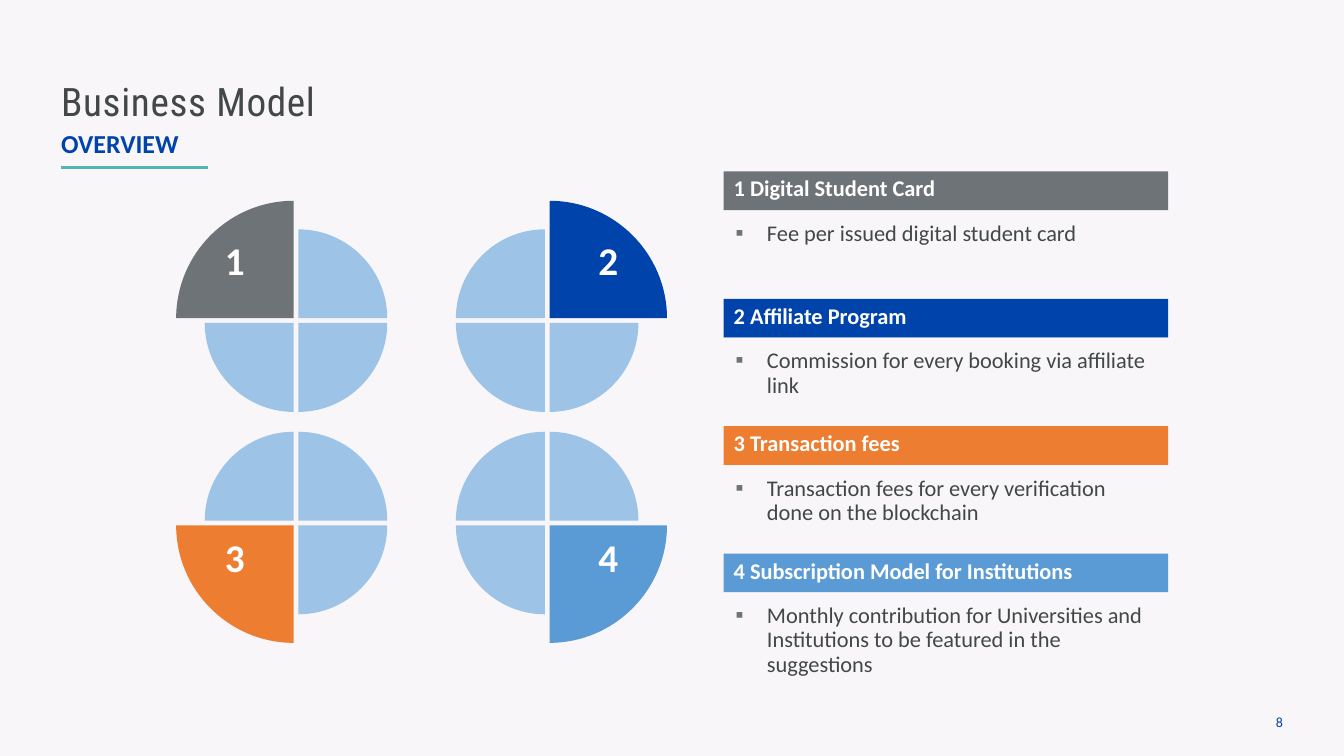
from dataclasses import dataclass

import pptx
import pptx.dml.color
import pptx.enum.shapes
import pptx.enum.text
import pptx.oxml.ns
import pptx.util
from lxml import etree

Cm, Pt = pptx.util.Cm, pptx.util.Pt
ALIGN, ANCHOR = pptx.enum.text.PP_ALIGN, pptx.enum.text.MSO_ANCHOR
qn = pptx.oxml.ns.qn


@dataclass(frozen=True)
class Theme:
    background: str = "F8F6F8"
    dark: str = "424747"
    gray: str = "6E7377"
    blue: str = "0043AA"
    orange: str = "ED7D31"
    sky: str = "5B9BD5"
    pale: str = "9DC3E6"
    teal: str = "56B3B3"
    white: str = "FFFFFF"
    title_font: str = "Roboto Condensed"
    body_font: str = "Calibri"
    title_size: float = 28
    subtitle_size: float = 18.5
    card_size: float = 16
    number_size: float = 28
    page_size: float = 10


THEME = Theme()
TITLE = "Business Model"
SUBTITLE = "OVERVIEW"
PAGE = "8"
STREAMS = [
    ("1", "Digital Student Card", "Fee per issued digital student card", THEME.gray),
    ("2", "Affiliate Program", "Commission for every booking via affiliate link", THEME.blue),
    ("3", "Transaction fees",
     "Transaction fees for every verification done on the blockchain", THEME.orange),
    ("4", "Subscription Model for Institutions",
     "Monthly contribution for Universities and Institutions to be featured in the suggestions",
     THEME.sky),
]

MARGIN, CONTENT_WIDTH = 1.54, 30.78
QUADRANTS = [(-1, -1), (1, -1), (-1, 1), (1, 1)]
WHEEL_X = {-1: 7.46, 1: 13.79}
WHEEL_Y = {-1: 8.08, 1: 13.18}
HALF_GAP, SMALL_RADIUS, LARGE_RADIUS = 0.06, 2.24, 2.96
ARC_HANDLE = 0.55
NUMBER_INSET = {-1: 0.89, 1: 0.2}
CARD_LEFT, CARD_TOP, CARD_WIDTH, CARD_PITCH = 18.24, 4.32, 11.2, 3.21
HEADER_HEIGHT, BODY_HEIGHT = 0.98, 2.03


def rgb(color):
    return pptx.dml.color.RGBColor.from_string(color)


def place(shape, left, top, width, height):
    shape.left, shape.top = Cm(left), Cm(top)
    shape.width, shape.height = Cm(width), Cm(height)


def paint(shape, color):
    shape.shadow.inherit = False
    shape.fill.solid()
    shape.fill.fore_color.rgb = rgb(color)
    shape.line.fill.background()


def write(shape, text, size, color, bold=False, font=THEME.body_font, align=ALIGN.LEFT,
          anchor=ANCHOR.TOP, insets=(0, 0, 0, 0), tracking=0):
    frame = shape.text_frame
    frame.word_wrap = True
    frame.auto_size = pptx.enum.text.MSO_AUTO_SIZE.NONE
    frame.vertical_anchor = anchor
    (frame.margin_left, frame.margin_top,
     frame.margin_right, frame.margin_bottom) = map(Cm, insets)
    paragraph = frame.paragraphs[0]
    paragraph.alignment = align
    run = paragraph.add_run()
    run.text = text
    run.font.name, run.font.size, run.font.bold = font, Pt(size), bold
    run.font.color.rgb = rgb(color)
    if tracking:
        run.font._element.set("spc", str(tracking))
    return paragraph


def set_bullet(paragraph, indent, character=None):
    properties = paragraph._p.get_or_add_pPr()
    properties.set("marL", str(Cm(indent)))
    properties.set("indent", str(-Cm(indent)))
    if character is None:
        etree.SubElement(properties, qn("a:buNone"))
        return
    color = etree.SubElement(properties, qn("a:buClr"))
    etree.SubElement(color, qn("a:srgbClr"), val=THEME.gray)
    etree.SubElement(properties, qn("a:buFont"), typeface=THEME.body_font)
    etree.SubElement(properties, qn("a:buChar"), char=character)


def add_heading(slide):
    title, subtitle = slide.placeholders
    place(title, MARGIN, 1.21, CONTENT_WIDTH, 1.93)
    write(title, TITLE, THEME.title_size, THEME.dark, font=THEME.title_font,
          anchor=ANCHOR.BOTTOM, tracking=50)
    place(subtitle, MARGIN, 3.54, CONTENT_WIDTH, 0.53)
    paragraph = write(subtitle, SUBTITLE, THEME.subtitle_size, THEME.blue, bold=True)
    paragraph.line_spacing, paragraph.space_before = Pt(13), Pt(0)
    set_bullet(paragraph, 0)
    rule = slide.shapes.add_connector(pptx.enum.shapes.MSO_CONNECTOR.STRAIGHT,
                                      Cm(MARGIN), Cm(4.23), Cm(5.24), Cm(4.23))
    rule.line.color.rgb = rgb(THEME.teal)
    rule.line.width = Pt(2.25)
    etree.SubElement(rule._element.spPr, qn("a:effectLst"))


def round_outer_edge(quarter):
    first, second = quarter._element.findall(".//" + qn("a:lnTo"))[:2]
    (start_x, start_y), (end_x, end_y) = [
        (int(line[0].get("x")), int(line[0].get("y"))) for line in (first, second)]
    curve = etree.Element(qn("a:cubicBezTo"))
    for x, y in [(start_x, start_y + ARC_HANDLE * (end_y - start_y)),
                 (end_x + ARC_HANDLE * (start_x - end_x), end_y),
                 (end_x, end_y)]:
        etree.SubElement(curve, qn("a:pt"), x=str(round(x)), y=str(round(y)))
    second.getparent().replace(second, curve)


def add_quarter(slide, center, quadrant, radius, color):
    corner_x, corner_y = (c + side * HALF_GAP for c, side in zip(center, quadrant))
    builder = slide.shapes.build_freeform(Cm(corner_x), Cm(corner_y))
    builder.add_line_segments([(Cm(corner_x + quadrant[0] * radius), Cm(corner_y)),
                               (Cm(corner_x), Cm(corner_y + quadrant[1] * radius))], close=True)
    quarter = builder.convert_to_shape()
    round_outer_edge(quarter)
    paint(quarter, color)
    return quarter


def add_wheel(slide, position, number, color):
    center = WHEEL_X[position[0]], WHEEL_Y[position[1]]
    for quadrant in QUADRANTS:
        if quadrant != position:
            add_quarter(slide, center, quadrant, SMALL_RADIUS, THEME.pale)
    highlight = add_quarter(slide, center, position, LARGE_RADIUS, color)
    write(highlight, number, THEME.number_size, THEME.white, bold=True, align=ALIGN.CENTER,
          insets=(0.25, NUMBER_INSET[position[1]], 0.25, 0.13))


def add_box(slide, top, height, color):
    box = slide.shapes.add_shape(pptx.enum.shapes.MSO_SHAPE.RECTANGLE, Cm(CARD_LEFT), Cm(top),
                                 Cm(CARD_WIDTH), Cm(height))
    paint(box, color)
    return box


def add_card(slide, index, heading, description, color):
    top = CARD_TOP + index * CARD_PITCH
    header = add_box(slide, top, HEADER_HEIGHT, color)
    write(header, heading, THEME.card_size, THEME.white, bold=True, anchor=ANCHOR.MIDDLE,
          insets=(0.25, 0.1, 0.25, 0.25))
    body = add_box(slide, top + HEADER_HEIGHT, BODY_HEIGHT, THEME.background)
    paragraph = write(body, description, THEME.card_size, THEME.dark,
                      insets=(0.3, 0.3, 0.4, 0.2))
    paragraph.line_spacing = 0.9
    set_bullet(paragraph, 0.79, "▪")


def main():
    presentation = pptx.Presentation()
    presentation.slide_width, presentation.slide_height = Cm(33.87), Cm(19.05)
    slide = presentation.slides.add_slide(presentation.slide_layouts[1])
    slide.background.fill.solid()
    slide.background.fill.fore_color.rgb = rgb(THEME.background)
    add_heading(slide)
    for index, (number, name, description, color) in enumerate(STREAMS):
        add_wheel(slide, QUADRANTS[index], number, color)
        add_card(slide, index, f"{number} {name}", description, color)
    page = slide.shapes.add_textbox(Cm(31.01), Cm(17.98), Cm(1.32), Cm(0.43))
    write(page, PAGE, THEME.page_size, THEME.blue, align=ALIGN.RIGHT, tracking=30)
    presentation.save("out.pptx")


if __name__ == "__main__":
    main()
